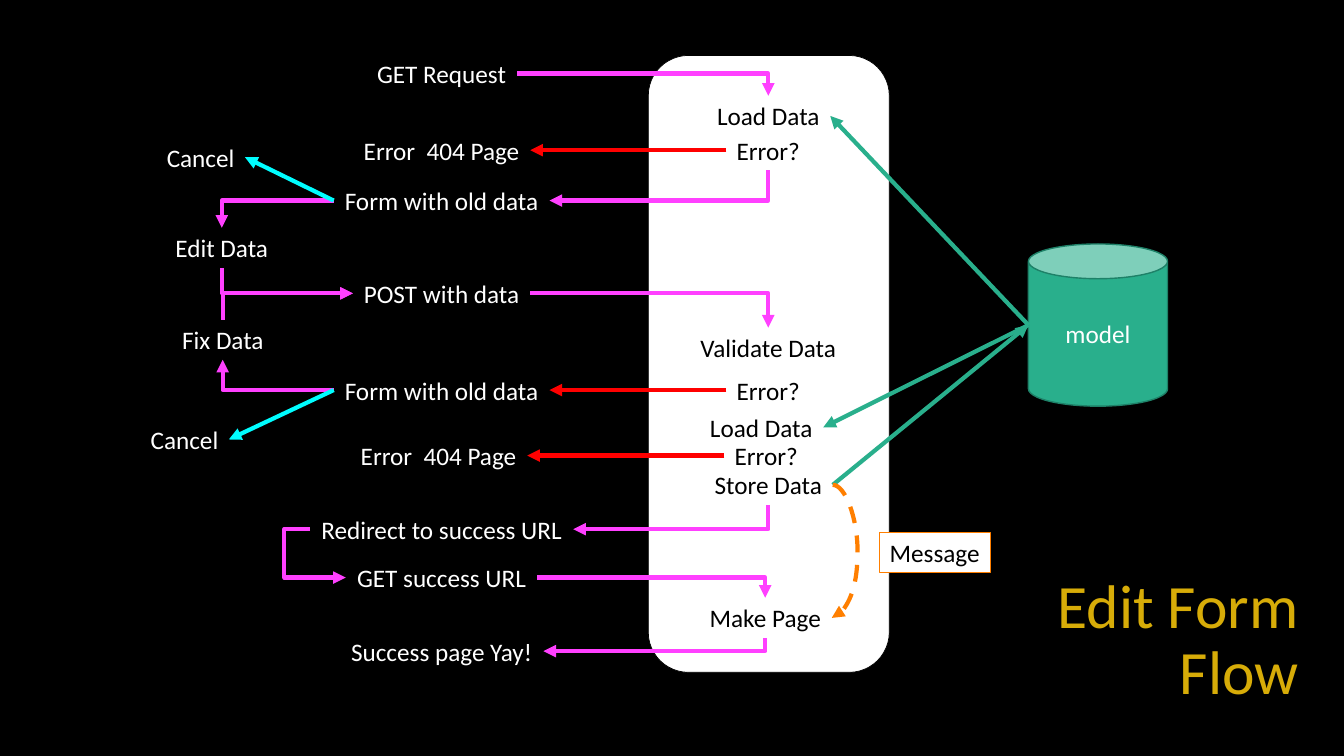
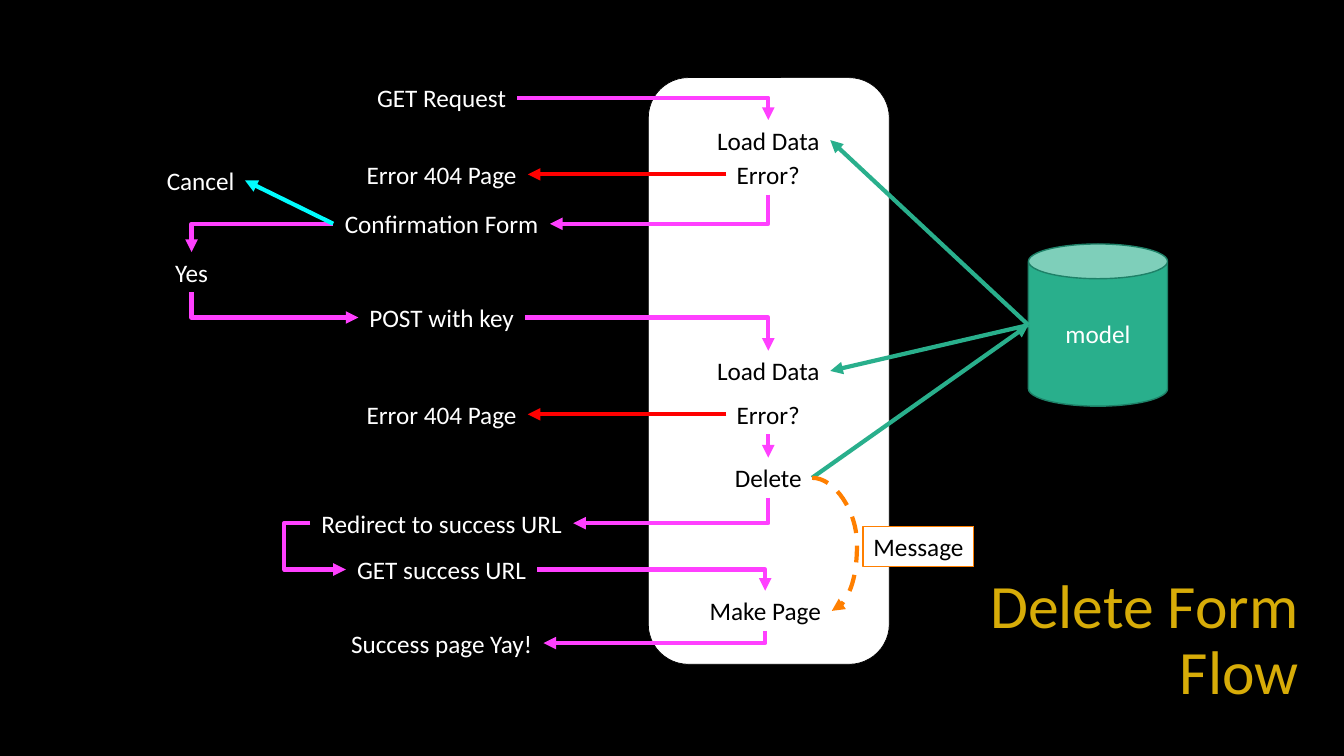
"""Builds two slides that show how the edit and delete forms flow."""
from dataclasses import dataclass

from lxml import etree
from pptx import Presentation
from pptx import util as u
from pptx.dml.color import RGBColor
from pptx.enum import dml, shapes, text
from pptx.oxml.ns import qn


@dataclass(frozen=True)
class Theme:
    font: str = "Calibri"
    title_size: int = 44
    body_size: int = 18
    line_width: float = 3
    label_height: float = 0.4
    title: str = "D7AC08"
    black: str = "000000"
    white: str = "FFFFFF"
    flow: str = "FF40FF"
    error: str = "FF0000"
    cancel: str = "00FDFF"
    model: str = "29AF8C"
    model_edge: str = "1E8168"
    message: str = "FF7F00"


THEME = Theme()
SIDES = "tlbr"
PAGES, SERVER = 4.38, 7.62
WIDTHS = {
    "GET Request": 1.5, "Form with old data": 2.14, "Confirmation Form": 2.15,
    "Edit Data": 1.13, "Fix Data": 1.02, "Yes": 0.53, "Cancel": 0.88,
    "POST with data": 1.76, "POST with key": 1.65, "Load Data": 1.23,
    "Error  404 Page": 1.76, "Error 404 Page": 1.71, "Validate Data": 1.56,
    "Store Data": 1.28, "Delete": 0.87, "Redirect to success URL": 2.61,
    "GET success URL": 1.9, "Success page Yay!": 2.02, "Error?": 0.83,
    "Make Page": 1.32, "Message": 1.1,
}
SHARED_LINKS = [
    ("flow", "get", "r", "load", "t"),
    ("error", "error", "l", "missing", "r"),
    ("flow", "error", "b", "form", "r"),
    ("flow", "form", "l", "answer", "t"),
    ("cancel", "form", "l", "cancel", "r"),
    ("flow", "answer", "b", "post", "l"),
    ("flow", "post", "r", "check", "t"),
    ("error", "error2", "l", "rejected", "r"),
    ("flow", "save", "b", "redirect", "r"),
    ("flow", "redirect", "l", "next", "l", 2.82),
    ("flow", "next", "r", "page", "t"),
    ("flow", "page", "b", "done", "r"),
    ("model", "model", "l", "load", "r"),
    ("model", "save", "r", "model", "l"),
]
SLIDES = [
    {
        "title": ("Edit Form Flow", 10, 2.98),
        "panel": (0.55, 6.12),
        "message": (8.72, 5.28),
        "bulge": 8.51,
        "labels": {
            "get": ("GET Request", PAGES, 0.53),
            "load": ("Load Data", SERVER, 0.95),
            "error": ("Error?", SERVER, 1.29),
            "missing": ("Error  404 Page", PAGES, 1.29),
            "form": ("Form with old data", PAGES, 1.79),
            "cancel": ("Cancel", 1.99, 1.36),
            "answer": ("Edit Data", 2.2, 2.26),
            "post": ("POST with data", PAGES, 2.71),
            "check": ("Validate Data", SERVER, 3.25),
            "error2": ("Error?", SERVER, 3.67),
            "rejected": ("Form with old data", PAGES, 3.67),
            "fix": ("Fix Data", 2.21, 3.17),
            "cancel2": ("Cancel", 1.83, 4.16),
            "reload": ("Load Data", 7.55, 4.04),
            "error3": ("Error?", 7.6, 4.32),
            "missing2": ("Error  404 Page", 4.35, 4.32),
            "save": ("Store Data", SERVER, 4.61),
            "redirect": ("Redirect to success URL", PAGES, 5.05),
            "next": ("GET success URL", PAGES, 5.53),
            "page": ("Make Page", 7.59, 5.93),
            "done": ("Success page Yay!", PAGES, 6.26),
        },
        "links": [
            ("flow", "rejected", "l", "fix", "b"),
            ("flow", "fix", "t", "post", "l"),
            ("cancel", "rejected", "l", "cancel2", "r"),
            ("error", "error3", "l", "missing2", "r"),
            ("model", "model", "l", "reload", "r"),
        ],
    },
    {
        "title": ("Delete Form Flow", 9.69, 3.29),
        "panel": (0.77, 5.82),
        "message": (8.56, 5.22),
        "bulge": 8.5,
        "labels": {
            "get": ("GET Request", PAGES, 0.77),
            "load": ("Load Data", SERVER, 1.19),
            "error": ("Error?", SERVER, 1.53),
            "missing": ("Error 404 Page", PAGES, 1.53),
            "form": ("Confirmation Form", PAGES, 2.02),
            "cancel": ("Cancel", 1.99, 1.59),
            "answer": ("Yes", 1.9, 2.5),
            "post": ("POST with key", PAGES, 2.95),
            "check": ("Load Data", SERVER, 3.48),
            "error2": ("Error?", SERVER, 3.91),
            "rejected": ("Error 404 Page", PAGES, 3.91),
            "save": ("Delete", SERVER, 4.54),
            "redirect": ("Redirect to success URL", PAGES, 4.99),
            "next": ("GET success URL", PAGES, 5.45),
            "page": ("Make Page", 7.59, 5.86),
            "done": ("Success page Yay!", PAGES, 6.18),
        },
        "links": [
            ("flow", "error2", "b", "save", "t"),
            ("model", "model", "l", "check", "r"),
        ],
    },
]


def rgb(name):
    return RGBColor.from_string(getattr(THEME, name))


def site(sp, side):
    x = {"l": sp.left, "r": sp.left + sp.width}.get(side, sp.left + sp.width // 2)
    y = {"t": sp.top, "b": sp.top + sp.height}.get(side, sp.top + sp.height // 2)
    return x, y


class FlowDeck:
    def __init__(self):
        self.prs = Presentation()
        self.prs.slide_width = u.Inches(13.33)
        self.prs.slide_height = u.Inches(7.5)
        fill = self.prs.slide_master.background.fill
        fill.solid()
        fill.fore_color.rgb = rgb("black")
        self.s = None
        self.nodes = {}

    def new_slide(self, title, left, width):
        self.s = self.prs.slides.add_slide(self.prs.slide_layouts[5])
        self.nodes = {}
        sp = self.s.shapes.title
        sp.left, sp.top = u.Inches(left), u.Inches(5.64)
        sp.width, sp.height = u.Inches(width), u.Inches(1.45)
        self.add_text(sp, title, "title", THEME.title_size, text.PP_ALIGN.RIGHT)
        sp.text_frame.paragraphs[0].line_spacing = 0.9

    def add_text(self, sp, words, color, size=THEME.body_size, align=text.PP_ALIGN.CENTER):
        tf = sp.text_frame
        tf.vertical_anchor = text.MSO_ANCHOR.MIDDLE
        p = tf.paragraphs[0]
        p.alignment = align
        r = p.add_run()
        r.text = words
        r.font.name, r.font.size = THEME.font, u.Pt(size)
        r.font.color.rgb = rgb(color)

    def fit(self, sp):
        sp.text_frame.word_wrap = False
        sp.text_frame.auto_size = text.MSO_AUTO_SIZE.SHAPE_TO_FIT_TEXT

    def shape(self, kind, box, fill, edge, width):
        sp = self.s.shapes.add_shape(kind, *map(u.Inches, box))
        sp.shadow.inherit = False
        sp.fill.solid()
        sp.fill.fore_color.rgb = rgb(fill)
        sp.line.color.rgb = rgb(edge)
        sp.line.width = u.Pt(width)
        return sp

    def panel(self, top, height):
        self.shape(shapes.MSO_SHAPE.ROUNDED_RECTANGLE, (6.43, top, 2.39, height),
                   "white", "black", 0.5)

    def model(self):
        sp = self.shape(shapes.MSO_SHAPE.CAN, (10.2, 2.42, 1.38, 1.61),
                        "model", "model_edge", 1)
        self.add_text(sp, "model", "white")
        self.nodes["model"] = sp

    def message(self, left, top):
        box = (left, top, WIDTHS["Message"], THEME.label_height)
        sp = self.shape(shapes.MSO_SHAPE.RECTANGLE, box, "white", "message", 0.75)
        self.add_text(sp, "Message", "black")
        self.fit(sp)

    def label(self, name, words, center, top):
        width = WIDTHS[words]
        box = (center - width / 2, top, width, THEME.label_height)
        sp = self.s.shapes.add_textbox(*map(u.Inches, box))
        self.add_text(sp, words, "black" if center > PAGES + 1 else "white")
        self.fit(sp)
        self.nodes[name] = sp

    def link(self, color, source, out, target, into, via=None, curved=False):
        a, b = self.nodes[source], self.nodes[target]
        (x1, y1), (x2, y2) = site(a, out), site(b, into)
        dx, dy = x2 - x1, y2 - y1
        corner = (out in "lr") != (into in "lr")
        kind = shapes.MSO_CONNECTOR.STRAIGHT
        if corner or via:
            kind = shapes.MSO_CONNECTOR.CURVE if curved else shapes.MSO_CONNECTOR.ELBOW
        c = self.s.shapes.add_connector(kind, x1, y1, x2, y2)
        c.begin_connect(a, SIDES.index(out) if source != "model" else 2)
        c.end_connect(b, SIDES.index(into) if target != "model" else 2)
        c.left, c.top, c.width, c.height = min(x1, x2), min(y1, y2), abs(dx), abs(dy)
        props = c._element.spPr
        xfrm = props.find(qn("a:xfrm"))
        geom = props.find(qn("a:prstGeom"))
        xfrm.flipH, xfrm.flipV = dx < 0, dy < 0
        if corner:
            geom.set("prst", "bentConnector2")
        if corner and out in "tb":
            c.left, c.top = (x1 + x2 - abs(dy)) // 2, (y1 + y2 - abs(dx)) // 2
            c.width, c.height = abs(dy), abs(dx)
            xfrm.set("rot", str((270 if dx > 0 else 90) * 60000))
            xfrm.flipH, xfrm.flipV = (dx > 0) == (dy > 0), False
        if via:
            bend = round((u.Inches(via) - x1) / dx * 100000)
            etree.SubElement(geom.find(qn("a:avLst")), qn("a:gd"),
                             name="adj1", fmla=f"val {bend}")
        c.line.color.rgb = rgb(color)
        c.line.width = u.Pt(THEME.line_width)
        if curved:
            c.line.dash_style = dml.MSO_LINE.DASH
        etree.SubElement(props.find(qn("a:ln")), qn("a:tailEnd"), type="triangle")
        etree.SubElement(props, qn("a:effectLst"))


def main():
    deck = FlowDeck()
    for page in SLIDES:
        deck.new_slide(*page["title"])
        deck.panel(*page["panel"])
        deck.model()
        for name, label in page["labels"].items():
            deck.label(name, *label)
        for link in SHARED_LINKS + page["links"]:
            deck.link(*link)
        deck.link("message", "save", "r", "page", "r", page["bulge"], curved=True)
        deck.message(*page["message"])
    deck.prs.save("out.pptx")


if __name__ == "__main__":
    main()
